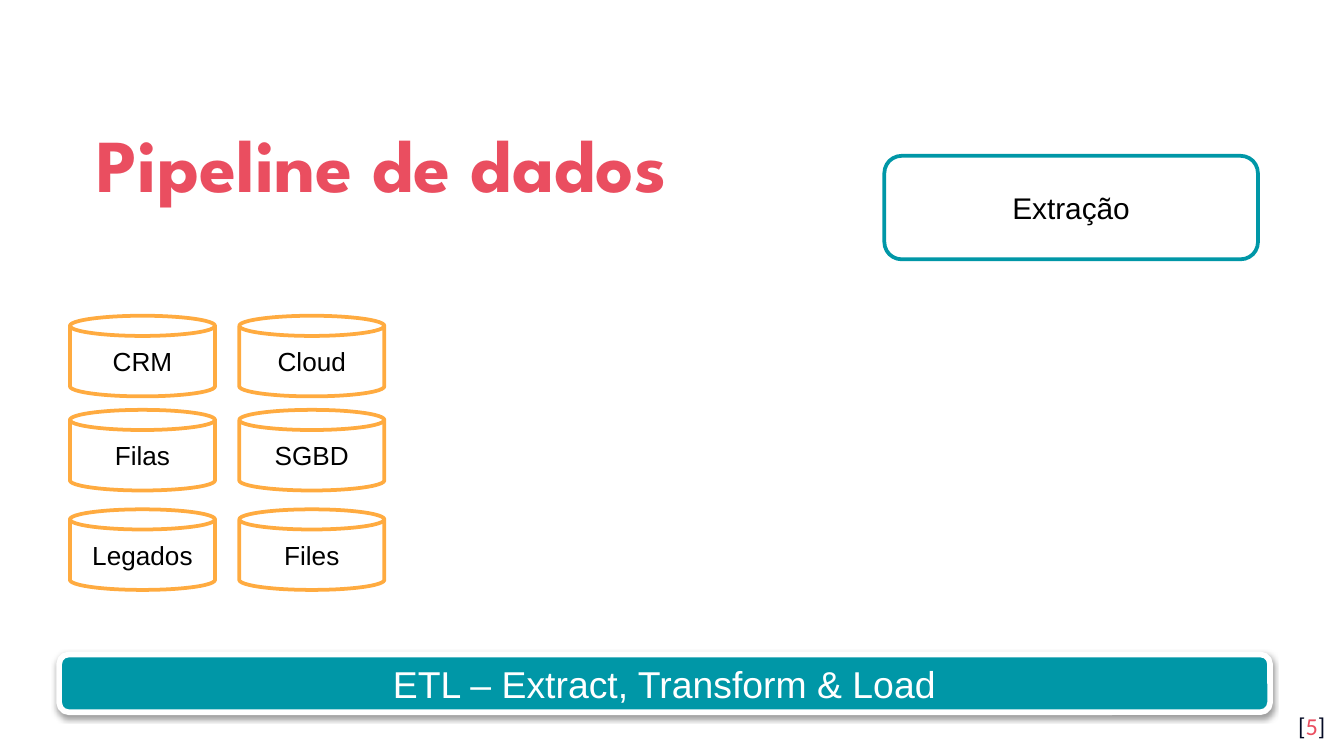
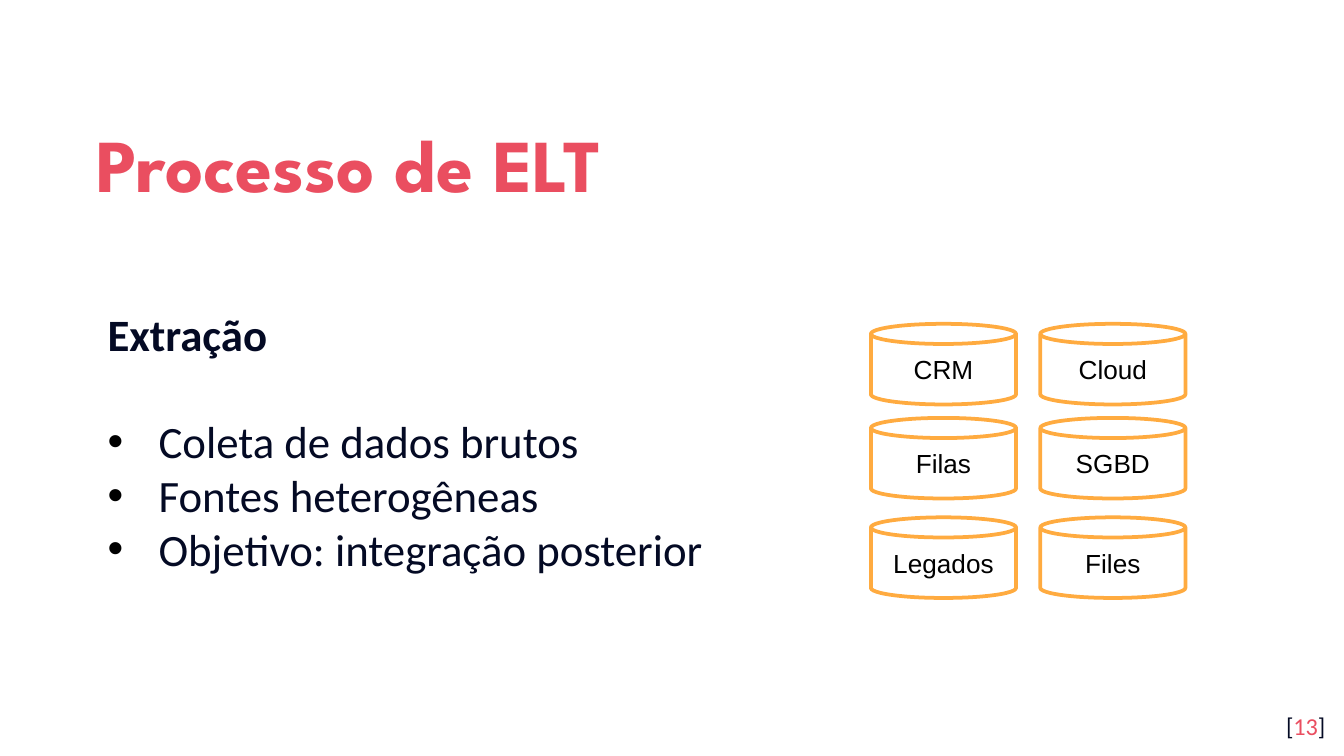
import dataclasses

import lxml.etree
import pptx
import pptx.dml.color
import pptx.enum.shapes
import pptx.enum.text
import pptx.oxml.ns
import pptx.util

Inches = pptx.util.Inches
Pt = pptx.util.Pt
Kind = pptx.enum.shapes.MSO_SHAPE
Align = pptx.enum.text.PP_ALIGN
Anchor = pptx.enum.text.MSO_ANCHOR


@dataclasses.dataclass(frozen=True)
class Theme:
    red: str = "EA4E60"
    navy: str = "040A24"
    teal: str = "0097A7"
    amber: str = "FFAB40"
    white: str = "FFFFFF"
    black: str = "000000"
    head: str = "League Spartan"
    body: str = "Calibri"
    label: str = "Arial"
    title: int = 40
    text: int = 24
    bar: int = 20
    box: int = 16
    can: int = 14
    page: int = 13


WIDTH = 10
HEIGHT = WIDTH * 9 / 16
SOURCES = [("CRM", "Cloud"), ("Filas", "SGBD"), ("Legados", "Files")]
ROWS = (0, 0.7, 1.44)
STEP = 1.26


def rgb(color):
    return pptx.dml.color.RGBColor.from_string(color)


def node(parent, tag, **attrs):
    """Append a drawing element below parent."""
    return lxml.etree.SubElement(parent, pptx.oxml.ns.qn(tag), attrs)


def style(font, name, size, color, bold=False):
    font.name, font.size, font.bold = name, Pt(size), bold
    font.color.rgb = rgb(color)


class Deck:
    def __init__(self):
        self.theme = Theme()
        self.prs = pptx.Presentation()
        self.prs.slide_width = Inches(WIDTH)
        self.prs.slide_height = Inches(HEIGHT)
        self.slide = None

    def frame(self, shape, anchor):
        """Give a text shape even margins, wrapping and a fixed size."""
        text = shape.text_frame
        text.margin_left = text.margin_right = Inches(0.1)
        text.margin_top = text.margin_bottom = Inches(0.1)
        text.word_wrap = True
        text.auto_size = pptx.enum.text.MSO_AUTO_SIZE.NONE
        text.vertical_anchor = anchor
        return text

    def place(self, shape, left, top, width, height):
        shape.left, shape.top = Inches(left), Inches(top)
        shape.width, shape.height = Inches(width), Inches(height)

    def start(self, layout, title, page):
        """Open a slide with its title and page number."""
        self.slide = self.prs.slides.add_slide(self.prs.slide_layouts[layout])
        shape = self.slide.shapes.title
        self.place(shape, 0.62, 0.7, 8.77, 0.92)
        para = self.frame(shape, Anchor.MIDDLE).paragraphs[0]
        para.text = title
        para.alignment = Align.LEFT
        para.line_spacing = 1.15
        style(para.font, self.theme.head, self.theme.title,
              self.theme.red, True)
        self.number(page)

    def number(self, page):
        box = self.slide.shapes.add_textbox(
            Inches(9.36), Inches(5.19), Inches(0.6), Inches(0.43))
        para = self.frame(box, Anchor.TOP).paragraphs[0]
        para.alignment = Align.RIGHT
        style(para.font, self.theme.body, self.theme.page, self.theme.navy)
        for part in ("[", str(page), "]"):
            run = para.add_run()
            run.text = part
            if part.isdigit():
                run.font.color.rgb = rgb(self.theme.red)

    def shape(self, kind, text, left, top, width, height, line, size,
              fill=Theme.white, ink=Theme.black, weight=2):
        item = self.slide.shapes.add_shape(
            kind, Inches(left), Inches(top), Inches(width), Inches(height))
        item.shadow.inherit = False
        item.fill.solid()
        item.fill.fore_color.rgb = rgb(fill)
        item.line.color.rgb = rgb(line)
        item.line.width = Pt(weight)
        item.text_frame.vertical_anchor = Anchor.MIDDLE
        para = item.text_frame.paragraphs[0]
        para.text = text
        para.alignment = Align.CENTER
        style(para.font, self.theme.label, size, ink)
        return item

    def bar(self, text):
        look = self.theme
        item = self.shape(Kind.ROUNDED_RECTANGLE, text, 0.44, 4.87, 9.01, 0.43,
                          look.white, look.bar, look.teal, look.white, 3)
        effects = item.element.spPr.find(pptx.oxml.ns.qn("a:effectLst"))
        shade = node(effects, "a:outerShdw", blurRad=str(Pt(3.1)),
                     dist=str(Pt(1.6)), dir="5400000", rotWithShape="0")
        color = node(shade, "a:srgbClr", val=look.black)
        node(color, "a:alpha", val="38000")

    def stage(self, text):
        self.shape(Kind.ROUNDED_RECTANGLE, text, 6.58, 1.16, 2.78, 0.77,
                   self.theme.teal, self.theme.box)

    def cans(self, left, top):
        """Draw the grid of data sources from its top left corner."""
        for drop, names in zip(ROWS, SOURCES):
            for col, name in enumerate(names):
                self.shape(Kind.CAN, name, left + col * STEP, top + drop,
                           1.08, 0.6, self.theme.amber, self.theme.can)

    def points(self, head, items):
        shape = self.slide.placeholders[1]
        self.place(shape, 0.62, 1.94, 5.36, 2.68)
        text = self.frame(shape, Anchor.MIDDLE)
        for index, line in enumerate([head, *items]):
            first = index == 0
            para = text.paragraphs[0] if first else text.add_paragraph()
            para.text = line
            para.alignment = Align.JUSTIFY
            props = para._p.get_or_add_pPr()
            props.set("marL", str(Inches(0.08 if first else 0.46)))
            props.set("indent", str(Inches(0 if first else -0.38)))
            if first:
                node(props, "a:buNone")
            else:
                color = node(props, "a:buClr")
                node(color, "a:srgbClr", val=self.theme.black)
                node(props, "a:buFont", typeface=self.theme.label)
                node(props, "a:buChar", char="•")
            para.space_before = Pt(0)
            para.space_after = Pt(29 if first else 0)
            style(para.font, self.theme.body, self.theme.text,
                  self.theme.navy, first)


def main():
    deck = Deck()

    deck.start(5, "Pipeline de dados", 5)
    deck.bar("ETL – Extract, Transform & Load")
    deck.stage("Extração")
    deck.cans(0.52, 2.35)

    deck.start(1, "Processo de ELT", 13)
    deck.points("Extração", ["Coleta de dados brutos", "Fontes heterogêneas",
                             "Objetivo: integração posterior"])
    deck.cans(6.48, 2.41)

    deck.prs.save("out.pptx")


if __name__ == "__main__":
    main()
